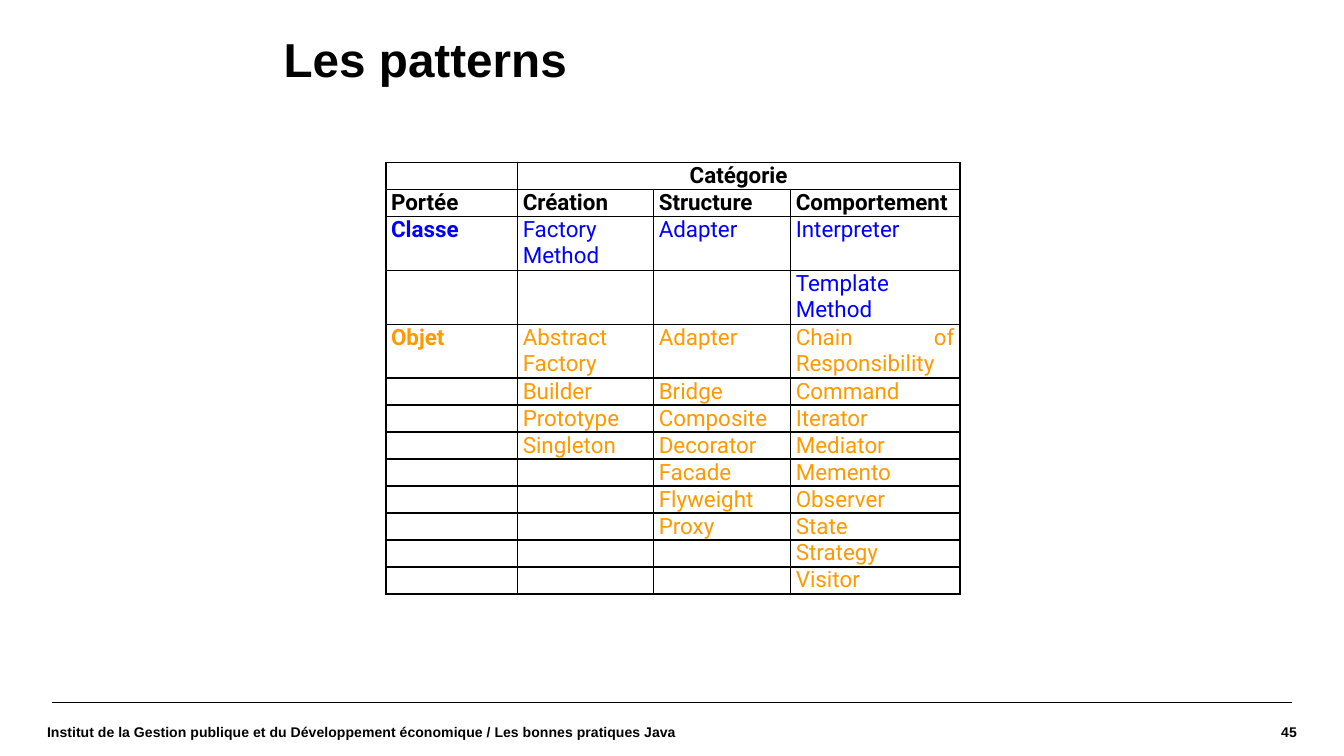
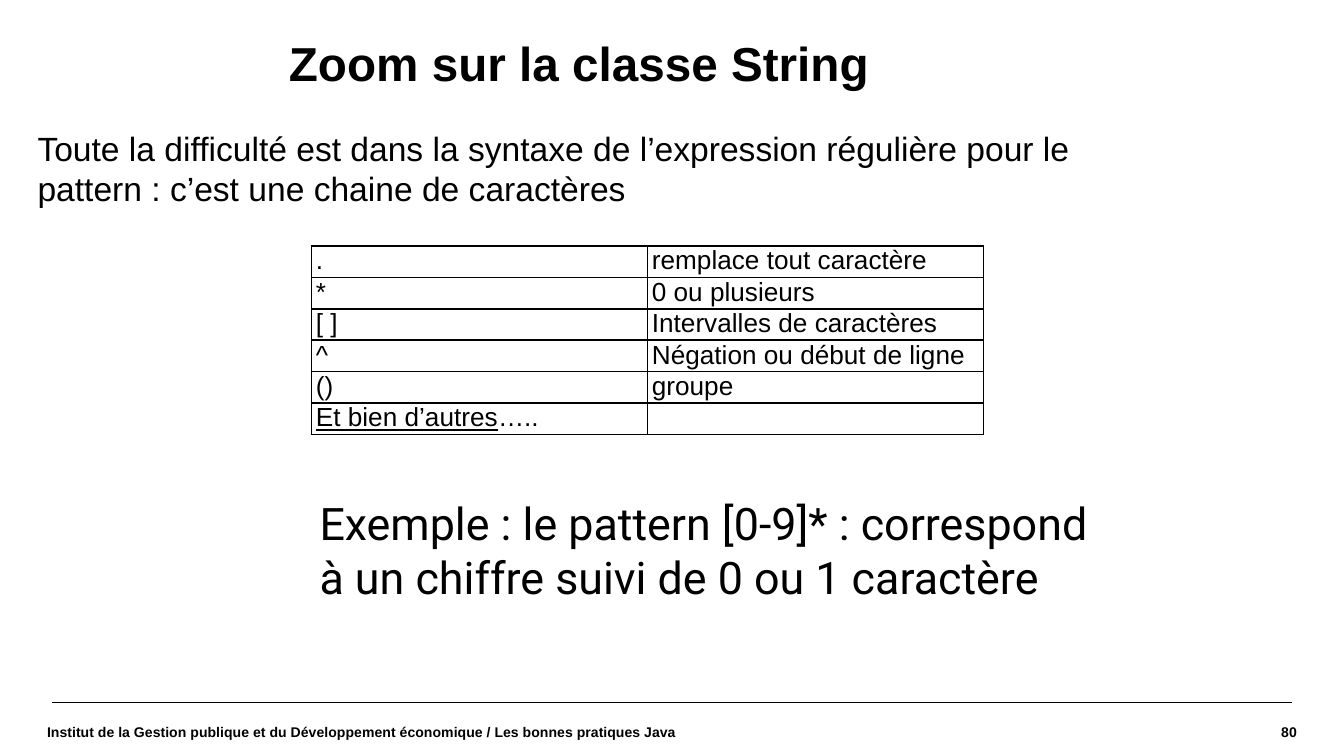
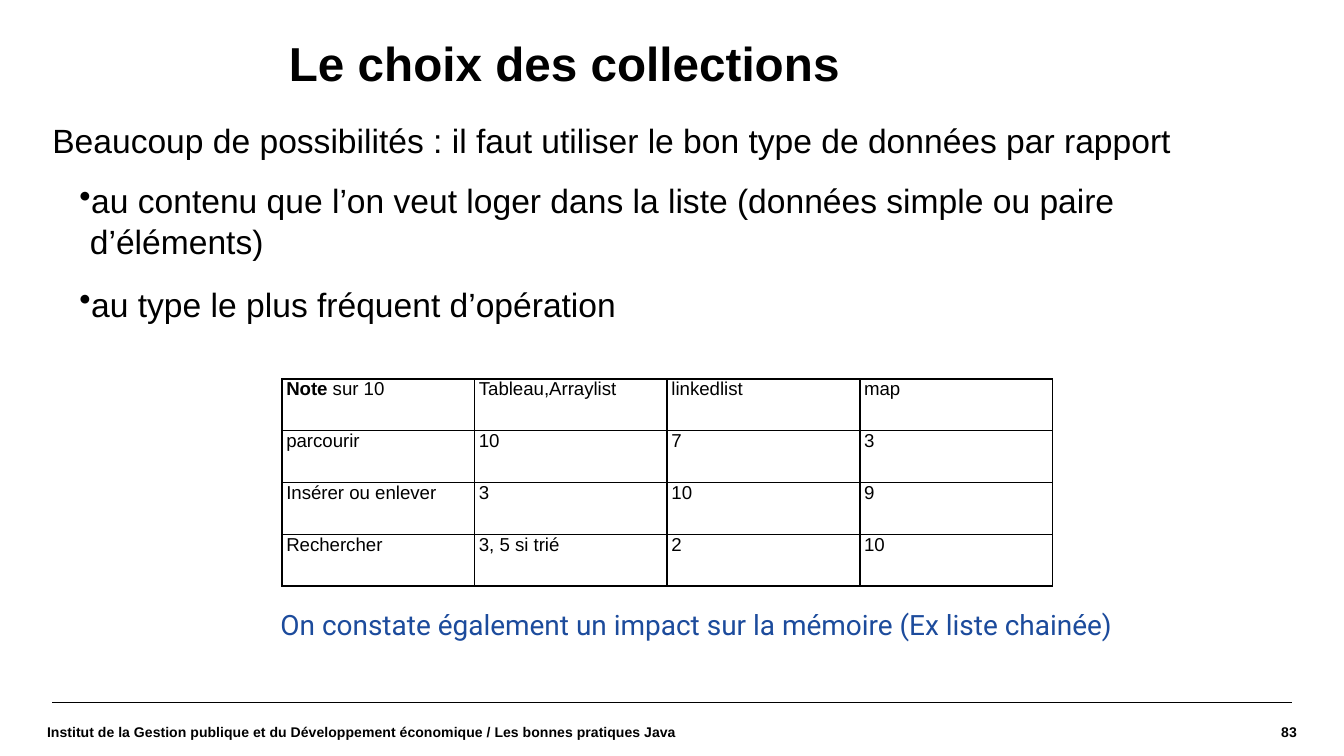
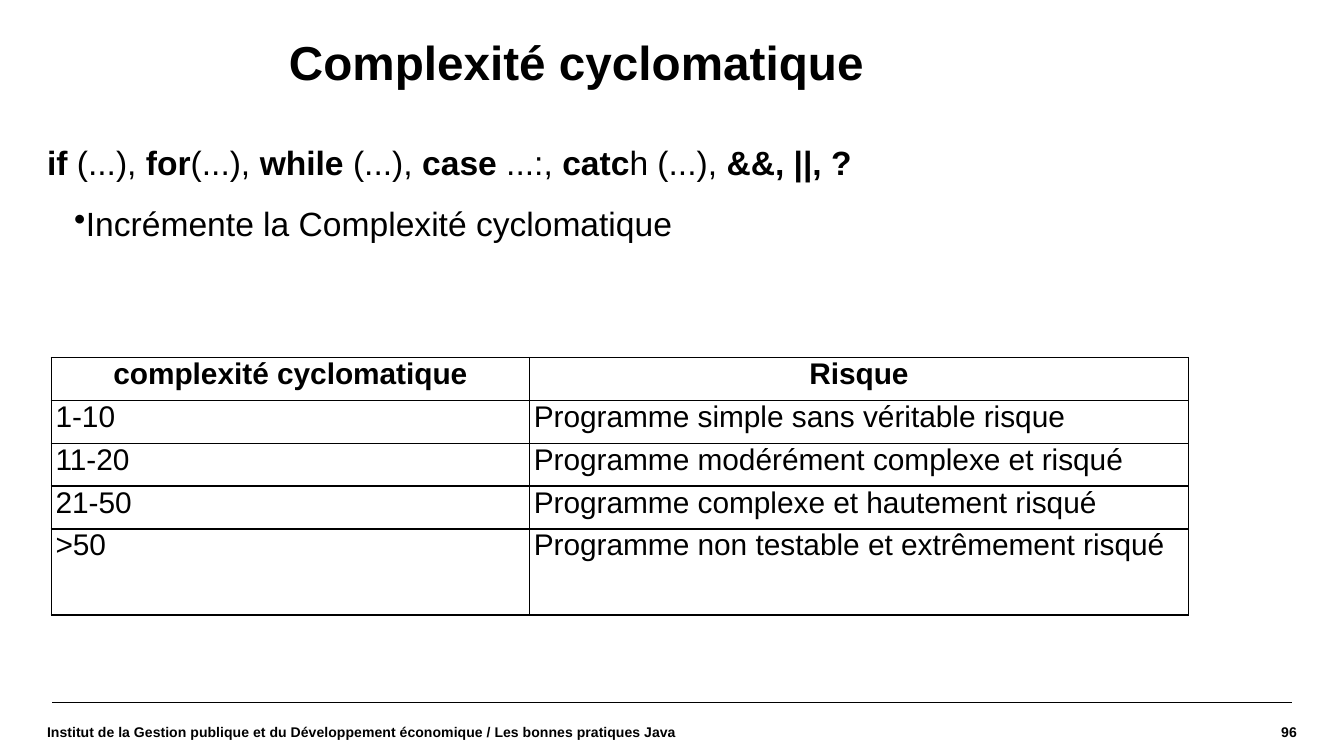
import dataclasses
import typing

import lxml.etree
import pptx
import pptx.dml.color
import pptx.enum.shapes
import pptx.enum.text
import pptx.oxml.ns
import pptx.util

Cm = pptx.util.Cm
Pt = pptx.util.Pt
ALIGN = pptx.enum.text.PP_ALIGN
ANCHOR = pptx.enum.text.MSO_ANCHOR
qn = pptx.oxml.ns.qn


@dataclasses.dataclass(frozen=True)
class Theme:
    ink: str = "000000"
    class_scope: str = "0000FF"
    object_scope: str = "FF9900"
    remark: str = "1C4B9C"
    sans: str = "Arial"
    accent_sans: str = "Roboto"
    title_size: float = 25.5
    body_size: float = 18
    footer_size: float = 7.5
    rule_width: float = 0.8
    border_width: float = 1


THEME = Theme()
COURSE = ("Institut de la Gestion publique et du Développement économique"
          " / Les bonnes pratiques Java")


class Box(typing.NamedTuple):
    """A region in centimetres."""
    left: float
    top: float
    width: float
    height: float

    @property
    def right(self):
        return self.left + self.width


class Style(typing.NamedTuple):
    size: float
    name: str = THEME.sans
    color: str = THEME.ink
    bold: bool = False
    align: typing.Any = ALIGN.LEFT


TITLE = Style(THEME.title_size, bold=True)
BODY = Style(THEME.body_size)
FOOTER = Style(THEME.footer_size, bold=True)
FOOTER_BOX = Box(0.89, 13.28, 23.62, 1.05)


# Text

def write(paragraph, content, style):
    """Content is a string or a list of (text, font attributes) runs."""
    runs = [(content, {})] if isinstance(content, str) else content
    for text, attributes in runs:
        run = paragraph.add_run()
        run.text = text
        for attribute, value in attributes.items():
            setattr(run.font, attribute, value)
    paragraph.alignment = style.align
    font = paragraph.font
    font.size, font.name, font.bold = Pt(style.size), style.name, style.bold
    font.color.rgb = pptx.dml.color.RGBColor.from_string(style.color)


def add_frame(slide, box, anchor=ANCHOR.TOP, inset=(0, 0)):
    frame = slide.shapes.add_textbox(*map(Cm, box)).text_frame
    frame.word_wrap = True
    frame.vertical_anchor = anchor
    frame.margin_left = frame.margin_right = Cm(inset[0])
    frame.margin_top = frame.margin_bottom = Cm(inset[1])
    return frame


def add_title(slide, box, title):
    paragraph = add_frame(slide, box).paragraphs[0]
    paragraph.line_spacing = 0.9
    write(paragraph, title, TITLE)


def add_body(slide, box, lead, bullets=()):
    frame = add_frame(slide, box)
    frame.paragraphs[0].space_after = Pt(5)
    write(frame.paragraphs[0], lead, BODY)
    for bullet in bullets:
        paragraph = frame.add_paragraph()
        paragraph.level = 1
        paragraph.space_before = paragraph.space_after = Pt(6)
        properties = paragraph._p.get_or_add_pPr()
        properties.set("marL", str(Cm(0.71)))
        properties.set("indent", str(Cm(-0.2)))
        lxml.etree.SubElement(properties, qn("a:buChar"), char="•")
        write(paragraph, bullet, BODY)


def add_remark(slide, box, remark, style):
    frame = add_frame(slide, box, inset=(0.25, 0.13))
    write(frame.paragraphs[0], remark, style)


# Footer: rule, course name and page number

def add_footer(slide, box, page):
    rule = slide.shapes.add_connector(
        pptx.enum.shapes.MSO_CONNECTOR.STRAIGHT,
        Cm(box.left + 0.1), Cm(box.top), Cm(box.right - 0.1), Cm(box.top))
    rule.line.width = Pt(THEME.rule_width)
    rule.line.color.rgb = pptx.dml.color.RGBColor.from_string(THEME.ink)
    lxml.etree.SubElement(rule._element.spPr, qn("a:effectLst"))

    top, height = box.top + 0.05, box.height - 0.05
    page_box = Box(box.right - 3.76, top, 3.76, height)
    course_box = Box(box.left, top, 12.29, height)
    for area, text, align in ((page_box, str(page), ALIGN.RIGHT),
                              (course_box, COURSE, ALIGN.LEFT)):
        frame = add_frame(slide, area, ANCHOR.MIDDLE)
        write(frame.paragraphs[0], text, FOOTER._replace(align=align))


# Tables

def draw_borders(cell):
    properties = cell._tc.get_or_add_tcPr()
    for side in ("lnL", "lnR", "lnT", "lnB"):
        border = lxml.etree.SubElement(properties, qn(f"a:{side}"),
                                       w=str(Pt(THEME.border_width)))
        fill = lxml.etree.SubElement(border, qn("a:solidFill"))
        lxml.etree.SubElement(fill, qn("a:srgbClr"), val=THEME.ink)


def add_grid(slide, box, widths, heights, rows, style_at, inset=0.08):
    """style_at(row, column) gives the style of each cell."""
    table = slide.shapes.add_table(len(rows), len(widths),
                                   *map(Cm, box)).table
    table.first_row = table.horz_banding = False
    for column, width in zip(table.columns, widths):
        column.width = Cm(width)
    for row, height in zip(table.rows, heights):
        row.height = Cm(height)
    for r, contents in enumerate(rows):
        for c, content in enumerate(contents):
            cell, style = table.cell(r, c), style_at(r, c)
            cell.margin_left = cell.margin_right = Cm(inset)
            cell.margin_top = cell.margin_bottom = 0
            draw_borders(cell)
            cell.fill.background()
            paragraph = cell.text_frame.paragraphs[0]
            if content:
                write(paragraph, content, style)
            else:  # keeps an empty row as low as its neighbours
                lxml.etree.SubElement(paragraph._p, qn("a:endParaRPr"),
                                      sz=str(style.size * 100))
    return table


# Slides

def start_slide(deck, title_box, title, page):
    slide = deck.slides.add_slide(deck.slide_layouts[6])
    add_title(slide, title_box, title)
    add_footer(slide, FOOTER_BOX, page)
    return slide


def build_patterns(deck):
    slide = start_slide(deck, Box(5.36, 0.69, 16.23, 1.22),
                        "Les patterns", 45)
    rows = [
        ("", "Catégorie", "", ""),
        ("Portée", "Création", "Structure", "Comportement"),
        ("Classe", "Factory Method", "Adapter", "Interpreter"),
        ("", "", "", "Template Method"),
        ("Objet", "Abstract Factory", "Adapter", "Chain of Responsibility"),
        ("", "Builder", "Bridge", "Command"),
        ("", "Prototype", "Composite", "Iterator"),
        ("", "Singleton", "Decorator", "Mediator"),
        ("", "", "Facade", "Memento"),
        ("", "", "Flyweight", "Observer"),
        ("", "", "Proxy", "State"),
        ("", "", "", "Strategy"),
        ("", "", "", "Visitor"),
    ]
    category_row, header_row, class_row, object_row = 0, 1, 2, 4

    def style_at(row, column):
        color = (THEME.object_scope if row >= object_row else
                 THEME.class_scope if row >= class_row else THEME.ink)
        align = (ALIGN.CENTER if row == category_row else
                 ALIGN.LEFT if row == header_row and column else
                 ALIGN.JUSTIFY)
        return Style(12, THEME.accent_sans, color,
                     row <= header_row or column == 0, align)

    heights = [1.02 if class_row <= r <= object_row else 0.51
               for r in range(len(rows))]
    table = add_grid(slide, Box(7.29, 3.07, 10.85, sum(heights)),
                     (2.49, 2.57, 2.59, 3.2), heights, rows, style_at, 0.1)
    table.cell(0, 1).merge(table.cell(0, 3))


def build_string_class(deck):
    slide = start_slide(deck, Box(5.46, 0.76, 16.23, 1.22),
                        "Zoom sur la classe String", 80)
    add_body(slide, Box(0.71, 2.41, 21.01, 3.28),
             "Toute la difficulté est dans la syntaxe de l’expression "
             "régulière pour le pattern : c’est une chaine de caractères")
    rows = [
        (".", "remplace tout caractère"),
        ("*", "0 ou plusieurs"),
        ("[ ]", "Intervalles de caractères"),
        ("^", "Négation ou début de ligne"),
        ("()", "groupe"),
        ([("Et bien d’autres", {"underline": True}), ("…..", {})], ""),
    ]
    add_grid(slide, Box(5.89, 4.65, 12.7, 3.36), [6.35] * 2,
             [0.56] * len(rows), rows,
             lambda row, column: Style(14, align=ALIGN.JUSTIFY))
    add_remark(slide, Box(5.79, 9.25, 15.29, 3.33),
               "Exemple : le pattern [0-9]* : correspond à un chiffre "
               "suivi de 0 ou 1 caractère", Style(24, THEME.accent_sans))


def build_collections(deck):
    slide = start_slide(deck, Box(5.46, 0.76, 16.23, 1.22),
                        "Le choix des collections", 83)
    add_body(slide, Box(0.99, 2.26, 22.5, 6.53),
             "Beaucoup de possibilités : il faut utiliser le bon type de "
             "données par rapport",
             ("au contenu que l’on veut loger dans la liste (données simple "
              "ou paire d’éléments)",
              "au type le plus fréquent d’opération"))
    rows = [
        ([("Note", {"bold": True}), (" sur 10", {})],
         "Tableau,Arraylist", "linkedlist", "map"),
        ("parcourir", "10", "7", "3"),
        ("Insérer ou enlever", "3", "10", "9"),
        ("Rechercher", "3, 5 si trié", "2", "10"),
    ]
    add_grid(slide, Box(5.33, 7.16, 14.56, 3.92), [3.64] * 4,
             [0.98] * len(rows), rows, lambda row, column: Style(10))
    add_remark(slide, Box(5.05, 11.35, 17.86, 0.89),
               "On constate également un impact sur la mémoire "
               "(Ex liste chainée)",
               Style(15, THEME.accent_sans, THEME.remark))


def build_complexity(deck):
    slide = start_slide(deck, Box(5.46, 0.74, 16.23, 1.22),
                        "Complexité cyclomatique", 96)
    pieces = ("if", " (...), ", "for", "(...), ", "while", " (...), ",
              "case", " ...:, ", "catc", "h (...), ", "&&, ||, ?")
    keywords = [(piece, {"bold": i % 2 == 0})
                for i, piece in enumerate(pieces)]
    add_body(slide, Box(0.89, 2.69, 16.21, 3.45), keywords,
             ("Incrémente la Complexité cyclomatique",))
    rows = [
        ("complexité cyclomatique", "Risque"),
        ("1-10", "Programme simple sans véritable risque"),
        ("11-20", "Programme modérément complexe et risqué"),
        ("21-50", "Programme complexe et hautement risqué"),
        (">50", "Programme non testable et extrêmement risqué"),
    ]

    def style_at(row, column):
        header = row == 0
        return Style(16, bold=header,
                     align=ALIGN.CENTER if header else ALIGN.JUSTIFY)

    add_grid(slide, Box(0.97, 6.76, 21.49, 4.86), (9.04, 12.45),
             [0.81] * 4 + [1.62], rows, style_at)


def main():
    deck = pptx.Presentation()
    deck.slide_width, deck.slide_height = Cm(25.4), Cm(14.29)
    for build in (build_patterns, build_string_class,
                  build_collections, build_complexity):
        build(deck)
    deck.save("out.pptx")


if __name__ == "__main__":
    main()
